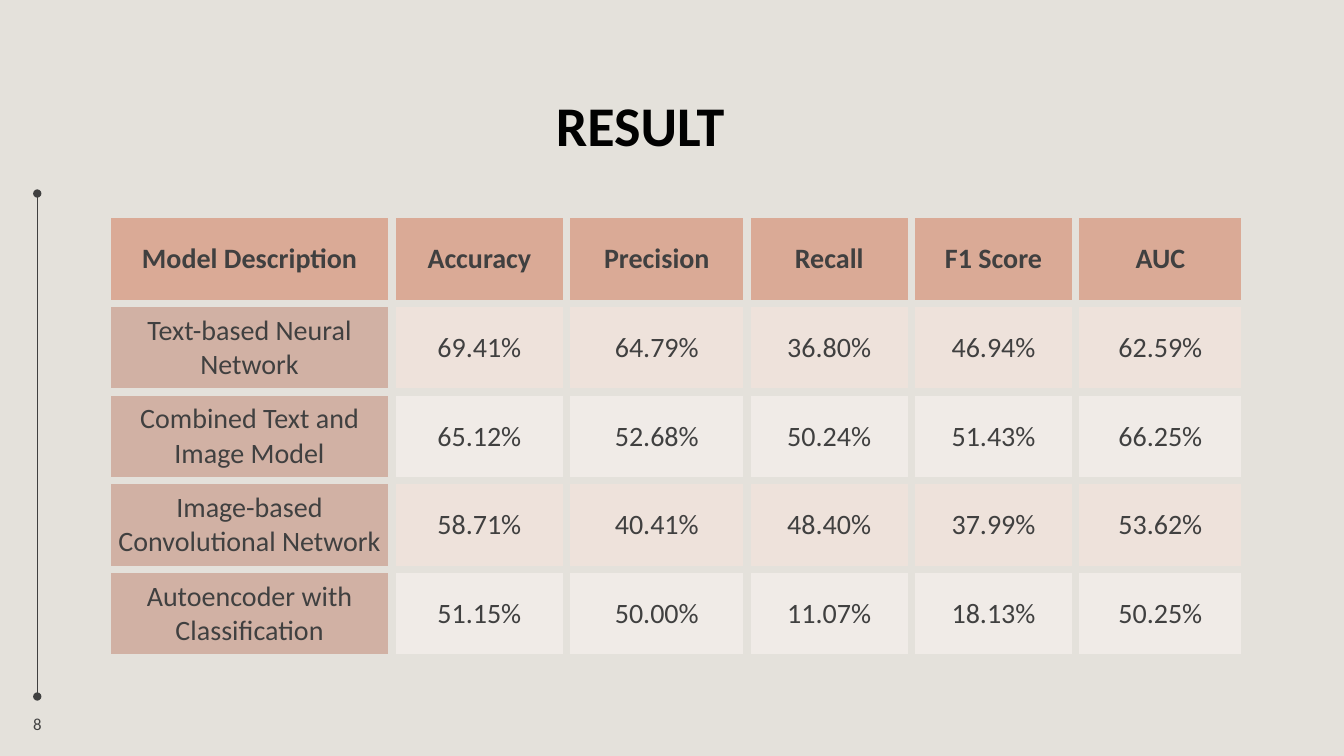
from lxml import etree
from pptx import Presentation
from pptx import util as u
from pptx.dml.color import RGBColor
from pptx.enum import shapes, text
from pptx.oxml import ns

SAND = RGBColor(0xE4, 0xE1, 0xDB)
CHARCOAL = RGBColor(0x40, 0x40, 0x40)
INK = RGBColor(0x01, 0x01, 0x01)
TERRACOTTA = RGBColor(0xDA, 0xAA, 0x96)
CLAY = RGBColor(0xD1, 0xB1, 0xA4)
BLUSH = RGBColor(0xF3, 0xE3, 0xDC)
IVORY = RGBColor(0xF6, 0xF1, 0xEE)

RESULTS = [
    ["Model Description", "Accuracy", "Precision", "Recall", "F1 Score", "AUC"],
    ["Text-based Neural Network", "69.41%", "64.79%", "36.80%", "46.94%", "62.59%"],
    ["Combined Text and Image Model", "65.12%", "52.68%", "50.24%", "51.43%", "66.25%"],
    ["Image-based Convolutional Network", "58.71%", "40.41%", "48.40%", "37.99%", "53.62%"],
    ["Autoencoder with Classification", "51.15%", "50.00%", "11.07%", "18.13%", "50.25%"],
]
COLUMN_WIDTHS = [2.83, 1.73, 1.79, 1.63, 1.63, 1.68]
ROW_HEIGHT = 0.88


class ResultSlide:
    font = "Calibri"

    def __init__(self, deck):
        self.slide = deck.slides.add_slide(deck.slide_layouts[6])
        self.slide.background.fill.solid()
        self.slide.background.fill.fore_color.rgb = SAND

    def centred_text(self, frame, words, size, color, bold=False):
        frame.text = words
        paragraph = frame.paragraphs[0]
        paragraph.alignment = text.PP_ALIGN.CENTER
        font = paragraph.runs[0].font
        font.name, font.size, font.bold = self.font, u.Pt(size), bold
        font.color.rgb = color
        return paragraph

    def label(self, box, words, size, color, bold=False):
        frame = self.slide.shapes.add_textbox(*map(u.Inches, box)).text_frame
        frame.word_wrap = True
        frame.vertical_anchor = text.MSO_ANCHOR.MIDDLE
        return self.centred_text(frame, words, size, color, bold)

    def dotted_end_line(self, x, top, bottom):
        rule = self.slide.shapes.add_connector(
            shapes.MSO_CONNECTOR.STRAIGHT, *map(u.Inches, (x, top, x, bottom)))
        rule.line.color.rgb = CHARCOAL
        rule.line.width = u.Pt(1)
        outline = rule.line._get_or_add_ln()
        for end in ("a:headEnd", "a:tailEnd"):
            etree.SubElement(outline, ns.qn(end), type="oval")
        etree.SubElement(rule._element.spPr, ns.qn("a:effectLst"))

    def cell_style(self, cell, color, opacity=100):
        cell.fill.solid()
        cell.fill.fore_color.rgb = color
        properties = cell._tc.get_or_add_tcPr()
        if opacity < 100:
            tint = properties.find(".//" + ns.qn("a:srgbClr"))
            etree.SubElement(tint, ns.qn("a:alpha"), val=str(opacity * 1000))
        for position, side in enumerate("LRTB"):
            border = etree.Element(ns.qn("a:ln" + side), w=str(u.Pt(6)))
            paint = etree.SubElement(border, ns.qn("a:solidFill"))
            etree.SubElement(paint, ns.qn("a:srgbClr"), val=str(SAND))
            properties.insert(position, border)

    def table(self, left, top, rows, widths, row_height):
        grid = self.slide.shapes.add_table(
            len(rows), len(widths), u.Inches(left), u.Inches(top),
            u.Inches(sum(widths)), u.Inches(row_height * len(rows))).table
        for column, width in zip(grid.columns, widths):
            column.width = u.Inches(width)
        for r, values in enumerate(rows):
            grid.rows[r].height = u.Inches(row_height)
            for c, value in enumerate(values):
                cell = grid.cell(r, c)
                cell.vertical_anchor = text.MSO_ANCHOR.MIDDLE
                self.centred_text(cell.text_frame, value, 20, CHARCOAL, bold=r == 0)
                if r == 0:
                    self.cell_style(cell, TERRACOTTA)
                elif c == 0:
                    self.cell_style(cell, CLAY)
                else:
                    self.cell_style(cell, BLUSH if r % 2 else IVORY, 67)


def main():
    deck = Presentation()
    deck.slide_width, deck.slide_height = u.Inches(13.33), u.Inches(7.5)
    result = ResultSlide(deck)
    result.dotted_end_line(0.37, 1.92, 6.91)
    title = result.label((0.37, 0.55, 11.96, 1.45), "RESULT", 40, INK, bold=True)
    title.line_spacing = 0.9
    result.label((0.15, 7.03, 0.44, 0.31), "8", 12, CHARCOAL)
    result.table(1.06, 2.13, RESULTS, COLUMN_WIDTHS, ROW_HEIGHT)
    deck.save("out.pptx")


if __name__ == "__main__":
    main()
